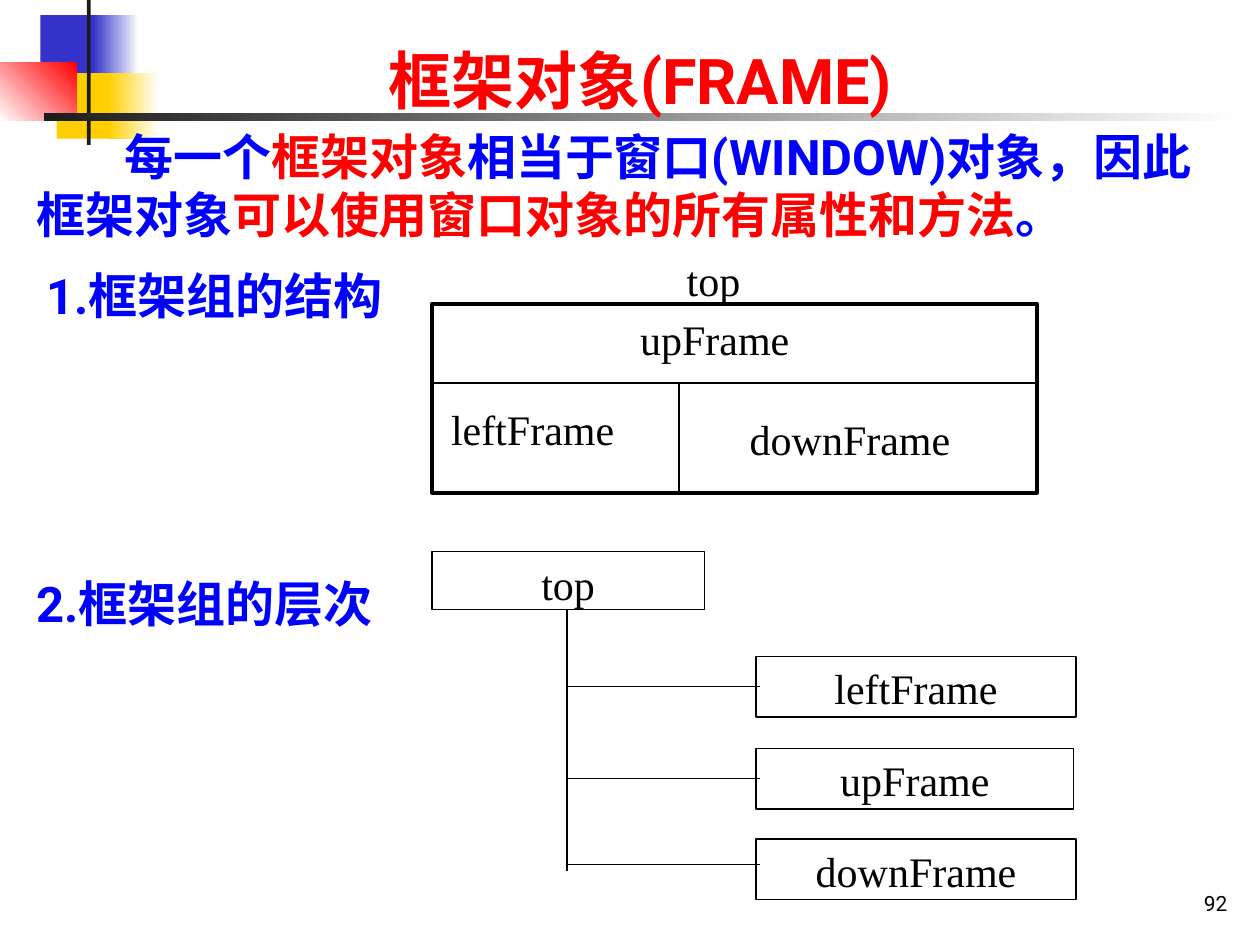
from lxml import etree
from pptx import Presentation
from pptx.dml.color import RGBColor
from pptx.enum import shapes, text
from pptx.oxml import ns
from pptx.util import Inches, Pt

NAVY = RGBColor(0x33, 0x33, 0xCC)
GOLD = RGBColor(0xFF, 0xCF, 0x01)
CHARCOAL = RGBColor(0x1C, 0x1C, 0x1C)
RED = RGBColor(0xFF, 0, 0)
BLUE = RGBColor(0, 0, 0xFF)
BLACK = RGBColor(0, 0, 0)
WHITE = RGBColor(0xFF, 0xFF, 0xFF)
HEADING_FONT = "Roboto"
DIAGRAM_FONT = "Times New Roman"
LEFT, CENTER, RIGHT, JUSTIFY = (
    text.PP_ALIGN.LEFT, text.PP_ALIGN.CENTER, text.PP_ALIGN.RIGHT, text.PP_ALIGN.JUSTIFY)


def add_rect(slide, box, fill, line_width=None):
    rect = slide.shapes.add_shape(shapes.MSO_SHAPE.RECTANGLE, *map(Inches, box))
    rect.shadow.inherit = False
    rect.fill.solid()
    rect.fill.fore_color.rgb = fill
    if line_width:
        rect.line.color.rgb = BLACK
        rect.line.width = Pt(line_width)
    else:
        rect.line.fill.background()
    return rect


def add_fade(slide, box, start, end, angle=0):
    fade = add_rect(slide, box, start)
    fade.fill.gradient()
    fade.fill.gradient_angle = angle
    for stop, color in zip(fade.fill.gradient_stops, (start, end)):
        stop.color.rgb = color


def add_line(slide, start, end, width):
    line = slide.shapes.add_connector(
        shapes.MSO_CONNECTOR.STRAIGHT, *map(Inches, (*start, *end)))
    line.line.color.rgb = BLACK
    line.line.width = Pt(width)
    etree.SubElement(line._element.spPr, ns.qn("a:effectLst"))


def write(shape, runs, size, font=HEADING_FONT, bold=False, align=LEFT,
          insets=(0.1, 0.05), anchor=text.MSO_ANCHOR.TOP):
    frame = shape.text_frame
    frame.word_wrap = True
    frame.auto_size = text.MSO_AUTO_SIZE.NONE
    frame.vertical_anchor = anchor
    frame.margin_left = frame.margin_right = Inches(insets[0])
    frame.margin_top = frame.margin_bottom = Inches(insets[1])
    paragraph = frame.paragraphs[0]
    paragraph.alignment = align
    for words, color in runs:
        run = paragraph.add_run()
        run.text = words
        run.font.size = Pt(size)
        run.font.name = font
        run.font.bold = bold
        run.font.color.rgb = color
    return paragraph


def add_decoration(slide):
    add_rect(slide, (0.32, 0.12, 0.48, 0.52), NAVY)
    add_fade(slide, (0.74, 0.12, 0.36, 0.52), NAVY, WHITE)
    add_rect(slide, (0.45, 0.58, 0.46, 0.52), GOLD)
    add_fade(slide, (0.86, 0.58, 0.4, 0.52), GOLD, WHITE)
    add_fade(slide, (0, 0.5, 0.61, 0.46), WHITE, RED, 45)
    add_rect(slide, (0.69, 0, 0.03, 1.15), CHARCOAL)
    add_fade(slide, (0.35, 0.9, 9.51, 0.06), CHARCOAL, WHITE)


def place_title(slide, box):
    title = slide.shapes.title
    title.left, title.top, title.width, title.height = map(Inches, box)
    write(title, [("框架对象(FRAME)", RED)], 36, bold=True, align=CENTER)
    title.element.getparent().append(title.element)


def add_statement(slide, box, runs, indent=0):
    statement = slide.shapes.add_textbox(*map(Inches, box))
    paragraph = write(statement, runs, 28, bold=True, insets=(0.02, 0.01))
    if indent:
        paragraph._p.get_or_add_pPr().set("indent", str(Inches(indent)))


def add_page_number(slide, box):
    number = slide.shapes.add_textbox(*map(Inches, box))
    write(number, [("92", BLACK)], 12, align=RIGHT, anchor=text.MSO_ANCHOR.BOTTOM)


def add_frame_layout(slide, box):
    left, top, width, height = box
    split_x, split_y = left + 1.96, top + 0.63
    add_rect(slide, box, WHITE, 2.25)
    add_line(slide, (left, split_y), (left + width, split_y), 1.5)
    add_line(slide, (split_x, split_y), (split_x, top + height), 1.5)
    labels = [
        ("downFrame", 2.52, 0.87, 1.87, 0.31),
        ("upFrame", 1.65, 0.08, 1.48, 0.31),
        ("leftFrame", 0.15, 0.79, 1.5, 0.31),
        ("top", 2.02, -0.39, 0.9, 0.34),
    ]
    for name, dx, dy, label_width, label_height in labels:
        label = add_rect(slide, (left + dx, top + dy, label_width, label_height), WHITE)
        write(label, [(name, BLACK)], 24, DIAGRAM_FONT, align=JUSTIFY, insets=(0, 0))


def add_frame_tree(slide, box):
    left, top, width, height = box
    root_height, child_left, trunk_x = 0.46, left + 2.57, left + 1.07
    children = [
        ("leftFrame", 0.83, 2.54, 1.07),
        ("upFrame", 1.56, 2.52, 1.8),
        ("downFrame", 2.28, 2.54, 2.48),
    ]
    nodes = [("top", (left, top, 2.16, root_height))]
    nodes += [(name, (child_left, top + dy, node_width, 0.48))
              for name, dy, node_width, _ in children]
    for name, node_box in nodes:
        node = add_rect(slide, node_box, WHITE, 0.75)
        write(node, [(name, BLACK)], 24, DIAGRAM_FONT, align=CENTER)
    add_line(slide, (trunk_x, top + root_height), (trunk_x, top + 2.53), 0.75)
    for _, _, _, branch_dy in children:
        branch_y = top + branch_dy
        add_line(slide, (trunk_x, branch_y), (child_left + 0.03, branch_y), 0.75)


def main():
    deck = Presentation()
    deck.slide_width, deck.slide_height = Inches(10), Inches(7.5)
    slide = deck.slides.add_slide(deck.slide_layouts[5])
    add_decoration(slide)
    add_page_number(slide, (7.76, 6.82, 2.08, 0.5))
    add_statement(slide, (0.27, 0.99, 9.37, 0.95), [
        ("每一个", BLUE),
        ("框架对象", RED),
        ("相当于窗口(WINDOW)对象，因此框架对象", BLUE),
        ("可以使用窗口对象的所有属性和方法", RED),
        ("。", BLUE),
    ], indent=0.7)
    place_title(slide, (1.22, 0.28, 7.72, 0.7))
    add_frame_layout(slide, (3.43, 2.41, 4.8, 1.5))
    add_frame_tree(slide, (3.43, 4.38, 5.11, 2.76))
    add_statement(slide, (0.35, 2.1, 3.05, 0.47), [("1.框架组的结构", BLUE)])
    add_statement(slide, (0.27, 4.54, 3.23, 0.47), [("2.框架组的层次", BLUE)])
    deck.save("out.pptx")


if __name__ == "__main__":
    main()
